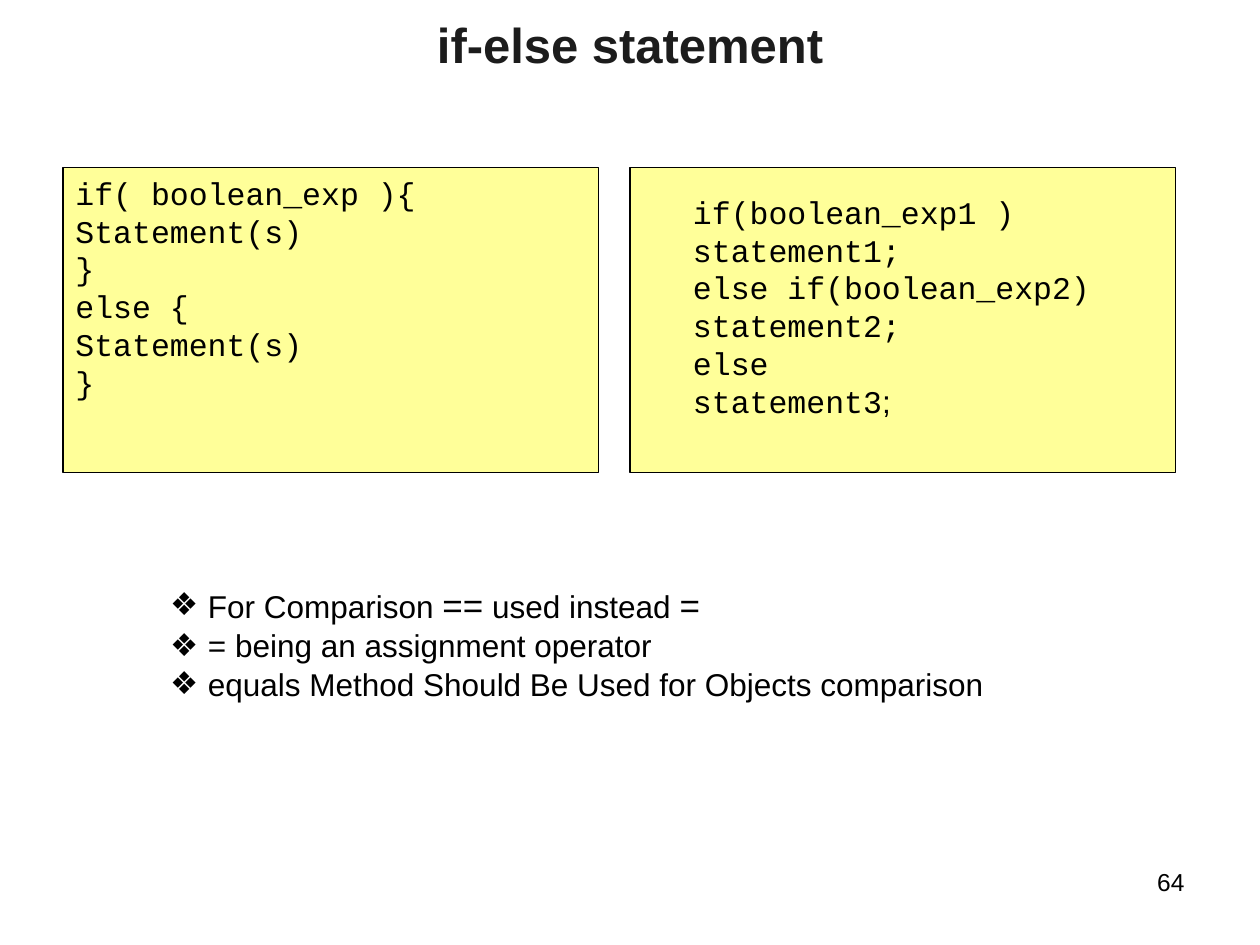
import pptx
import pptx.util
import pptx.dml.color
import pptx.enum.shapes
import pptx.enum.text
import pptx.oxml
from lxml import etree

Inches = pptx.util.Inches
Pt = pptx.util.Pt
RGBColor = pptx.dml.color.RGBColor
ALIGN = pptx.enum.text.PP_ALIGN
ANCHOR = pptx.enum.text.MSO_ANCHOR

BLACK = RGBColor(0x00, 0x00, 0x00)
INK = RGBColor(0x1C, 0x1C, 0x1C)
YELLOW = RGBColor(0xFF, 0xFF, 0x99)
SANS = "Arial"
MONO = "Courier New"

BLOCK = ["if( boolean_exp ){", "Statement(s)", "}", "else {", "Statement(s)", "}"]
CHAIN = ["if(boolean_exp1 )", "statement1;", "else if(boolean_exp2)",
         "statement2;", "else", "statement3;"]
# Each note is a list of (text, size) pieces
NOTES = [
    [("For Comparison ", 18), ("==", 20), (" used instead ", 18), ("=", 20)],
    [("= being an assignment operator", 18)],
    [("equals Method Should Be Used for Objects comparison", 18)],
]


def style(run, name, size, color=BLACK, bold=False):
    font = run.font
    font.name, font.size, font.bold = name, Pt(size), bold
    font.color.rgb = color


def place(shape, box):
    shape.left, shape.top, shape.width, shape.height = map(Inches, box)


def inset(frame, left=0.1, top=0.05, bottom=0.05):
    frame.word_wrap = True
    frame.auto_size = pptx.enum.text.MSO_AUTO_SIZE.NONE
    frame.margin_left, frame.margin_right = Inches(left), Inches(0.1)
    frame.margin_top, frame.margin_bottom = Inches(top), Inches(bottom)


def bullet(para, sign, indent):
    props = para._p.get_or_add_pPr()
    props.set("marL", str(Inches(indent)))
    props.set("indent", str(-Inches(indent)))
    color = etree.SubElement(props, pptx.oxml.ns.qn("a:buClr"))
    etree.SubElement(color, pptx.oxml.ns.qn("a:srgbClr"), val=str(BLACK))
    etree.SubElement(props, pptx.oxml.ns.qn("a:buChar"), char=sign)


def add_title(slide, box, text):
    title = slide.shapes.title
    place(title, box)
    frame = title.text_frame
    frame.text = text
    # The deep bottom inset lifts the line towards the slide edge
    inset(frame, top=0, bottom=0.45)
    frame.vertical_anchor = ANCHOR.MIDDLE
    para = frame.paragraphs[0]
    para.alignment = ALIGN.CENTER
    style(para.runs[0], SANS, 28, INK, True)


def add_code(slide, box, lines, left, top):
    panel = slide.shapes.add_shape(
        pptx.enum.shapes.MSO_SHAPE.RECTANGLE, *map(Inches, box))
    panel.shadow.inherit = False
    panel.fill.solid()
    panel.fill.fore_color.rgb = YELLOW
    panel.line.color.rgb = BLACK
    panel.line.width = Pt(0.75)
    frame = panel.text_frame
    frame.text = "\n".join(lines)
    inset(frame, left, top)
    frame.vertical_anchor = ANCHOR.TOP
    for para in frame.paragraphs:
        para.alignment = ALIGN.LEFT
        para.line_spacing = Pt(21.6)
        style(para.runs[0], MONO, 18)
    return frame


def add_notes(slide, box, notes):
    body = slide.placeholders[1]
    place(body, box)
    frame = body.text_frame
    frame.text = "\n".join("" for _ in notes)
    inset(frame, top=0.08)
    frame.vertical_anchor = ANCHOR.TOP
    for para, pieces in zip(frame.paragraphs, notes):
        para.alignment = ALIGN.LEFT
        para.line_spacing = Pt(22)
        para.space_before = Pt(0)
        bullet(para, "❖", 0.3)
        for text, size in pieces:
            run = para.add_run()
            run.text = text
            style(run, SANS, size)


def add_number(slide, box, text):
    frame = slide.shapes.add_textbox(*map(Inches, box)).text_frame
    frame.text = text
    inset(frame)
    para = frame.paragraphs[0]
    para.alignment = ALIGN.RIGHT
    style(para.runs[0], SANS, 14)


def main():
    deck = pptx.Presentation()
    deck.slide_width, deck.slide_height = Inches(10), Inches(7.5)
    slide = deck.slides.add_slide(deck.slide_layouts[1])

    # Heading
    add_title(slide, (0.5, 0.3, 9, 0.54), "if-else statement")

    # Code panels
    add_code(slide, (0.5, 1.33, 4.25, 2.42), BLOCK, 0.1, 0.05)
    chain = add_code(slide, (5, 1.33, 4.33, 2.42), CHAIN, 0.5, 0.2)

    # The closing semicolon is set in the sans font
    last = chain.paragraphs[-1]
    last.runs[0].text = "statement3"
    end = last.add_run()
    end.text = ";"
    style(end, SANS, 18)

    # Notes and page number
    add_notes(slide, (1.25, 4.58, 6.92, 1.34), NOTES)
    add_number(slide, (7.17, 6.83, 2.33, 0.52), "64")

    deck.save("out.pptx")


if __name__ == "__main__":
    main()
